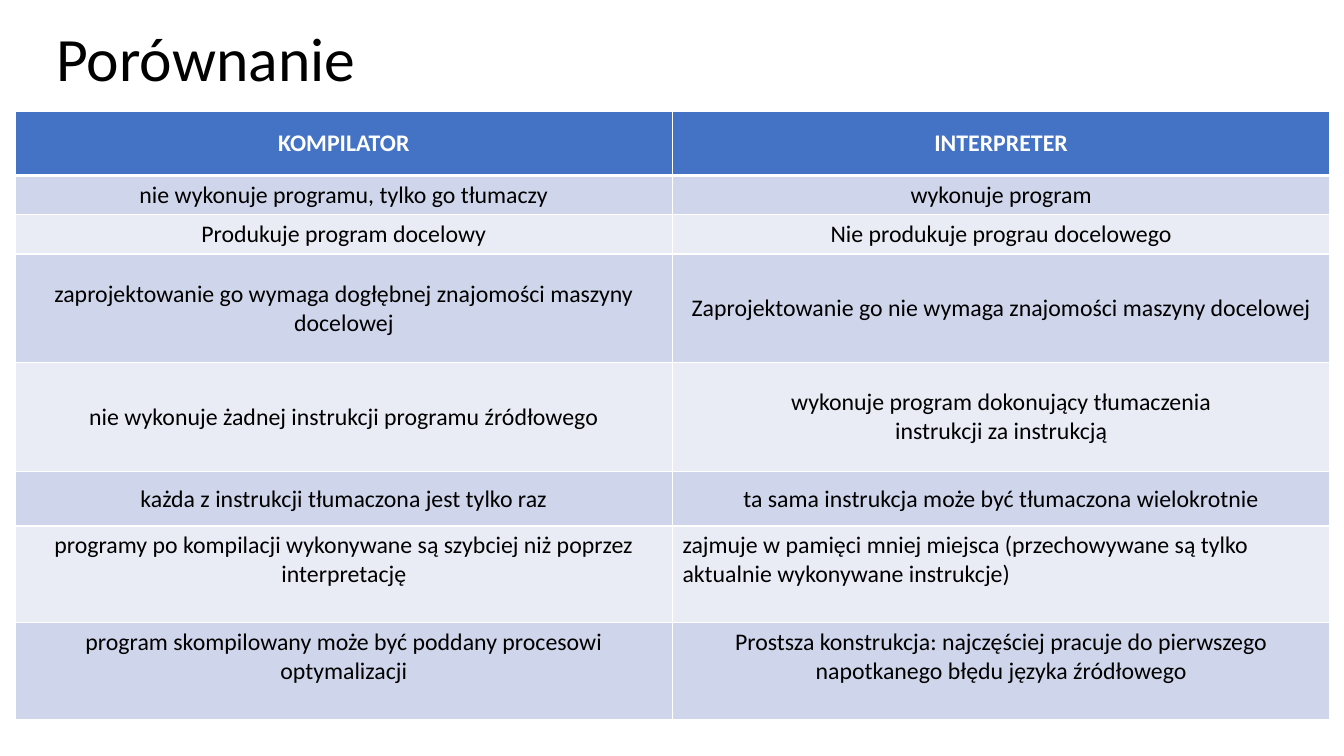
from dataclasses import dataclass

from lxml import etree
from pptx import Presentation
from pptx.dml.color import RGBColor
from pptx.enum import text
from pptx.oxml import ns
from pptx.util import Inches, Pt

COLORS = {"white": "FFFFFF", "black": "000000", "header": "4472C4",
          "odd": "CFD5EA", "even": "E9EBF5"}
FONT = "Calibri"
CENTER, LEFT = text.PP_ALIGN.CENTER, text.PP_ALIGN.LEFT
MIDDLE, TOP = text.MSO_ANCHOR.MIDDLE, text.MSO_ANCHOR.TOP
COLUMN_WIDTH = 6.52


@dataclass
class ComparisonRow:
    height: float
    compiler: str
    interpreter: str
    anchor: text.MSO_ANCHOR = MIDDLE
    interpreter_align: text.PP_ALIGN = CENTER


ROWS = [
    ComparisonRow(0.63, "KOMPILATOR", "INTERPRETER"),
    ComparisonRow(0.39, "nie wykonuje programu, tylko go tłumaczy", "wykonuje program"),
    ComparisonRow(0.39, "Produkuje program docelowy", "Nie produkuje prograu docelowego"),
    ComparisonRow(1.08, "zaprojektowanie go wymaga dogłębnej znajomości maszyny docelowej",
                  "Zaprojektowanie go nie wymaga znajomości maszyny docelowej"),
    ComparisonRow(1.08, "nie wykonuje żadnej instrukcji programu źródłowego",
                  "wykonuje program dokonujący tłumaczenia\ninstrukcji za instrukcją"),
    ComparisonRow(0.54, "każda z instrukcji tłumaczona jest tylko raz",
                  "ta sama instrukcja może być tłumaczona wielokrotnie"),
    ComparisonRow(0.96, "programy po kompilacji wykonywane są szybciej niż poprzez interpretację",
                  "zajmuje w pamięci mniej miejsca (przechowywane są tylko "
                  "aktualnie wykonywane instrukcje)", TOP, LEFT),
    ComparisonRow(0.96, "program skompilowany może być poddany procesowi optymalizacji",
                  "Prostsza konstrukcja: najczęściej pracuje do pierwszego "
                  "napotkanego błędu języka źródłowego", TOP),
]


def color(name: str) -> RGBColor:
    return RGBColor.from_string(COLORS[name])


def style_paragraph(para, size: float, ink: str, bold: bool = False) -> None:
    para.font.name = FONT
    para.font.size = Pt(size)
    para.font.bold = bold
    para.font.color.rgb = color(ink)


def add_borders(cell, bottom: float, top: float) -> None:
    """Draw white cell borders; they must precede the fill in the XML."""
    properties = cell._tc.get_or_add_tcPr()
    widths = {"a:lnL": 1, "a:lnR": 1, "a:lnT": top, "a:lnB": bottom}
    for position, (tag, width) in enumerate(widths.items()):
        line = etree.Element(ns.qn(tag), w=str(Pt(width)))
        fill = etree.SubElement(line, ns.qn("a:solidFill"))
        etree.SubElement(fill, ns.qn("a:srgbClr"), val=COLORS["white"])
        properties.insert(position, line)


def add_title(page, title: str) -> None:
    box = page.shapes.add_textbox(Inches(0.46), Inches(-0.11), Inches(12.42), Inches(1.45))
    frame = box.text_frame
    frame.word_wrap = True
    frame.vertical_anchor = MIDDLE
    frame.text = title
    para = frame.paragraphs[0]
    para.line_spacing = 0.9
    style_paragraph(para, 44, "black")


def add_comparison(page, rows: list[ComparisonRow]) -> None:
    height = sum(row.height for row in rows)
    table = page.shapes.add_table(len(rows), 2, Inches(0.15), Inches(1.11),
                                  Inches(2 * COLUMN_WIDTH), Inches(height)).table
    for column in table.columns:
        column.width = Inches(COLUMN_WIDTH)
    for index, row in enumerate(rows):
        table.rows[index].height = Inches(row.height)
        header = index == 0
        shade = "header" if header else "odd" if index % 2 else "even"
        entries = [(row.compiler, CENTER), (row.interpreter, row.interpreter_align)]
        for cell, (words, align) in zip(table.rows[index].cells, entries):
            cell.text = words
            cell.vertical_anchor = row.anchor
            cell.fill.solid()
            cell.fill.fore_color.rgb = color(shade)
            add_borders(cell, bottom=3 if header else 1, top=3 if index == 1 else 1)
            for para in cell.text_frame.paragraphs:
                para.alignment = align
                style_paragraph(para, 17, "white" if header else "black", header)


def main() -> None:
    deck = Presentation()
    deck.slide_width, deck.slide_height = Inches(13.33), Inches(7.5)
    page = deck.slides.add_slide(deck.slide_layouts[6])
    add_comparison(page, ROWS)
    add_title(page, "Porównanie")
    deck.save("out.pptx")


if __name__ == "__main__":
    main()
